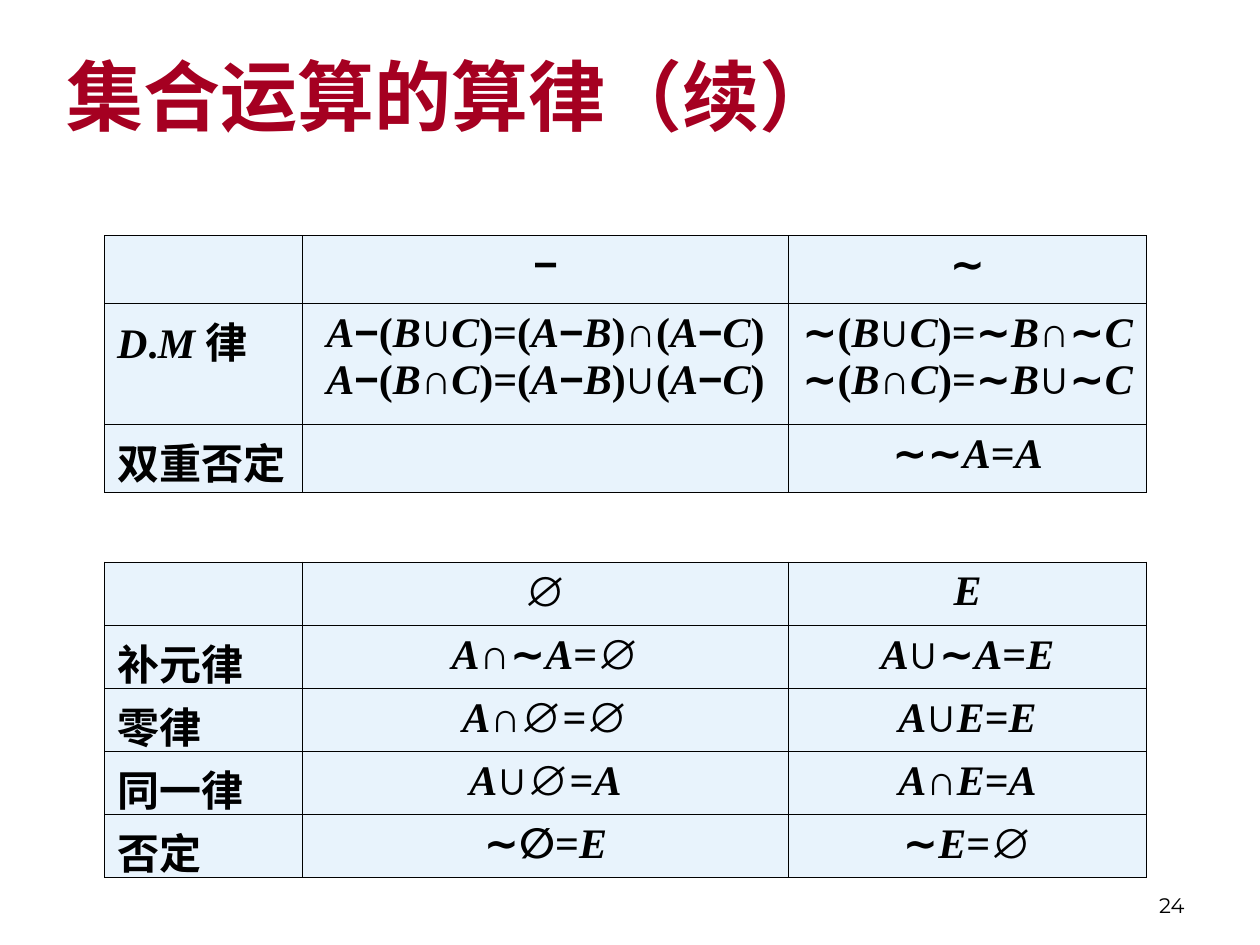
from itertools import groupby

from lxml import etree
from pptx import Presentation
from pptx import util as u
from pptx.dml.color import RGBColor
from pptx.enum import text
from pptx.oxml.ns import qn

# Content: "\n" separates paragraphs inside a cell
TITLE = "集合运算的算律（续）"
PAGE = "24"
COMPLEMENT_LAWS = [
    ("", "−", "∼"),
    ("D.M 律",
     "A−(B∪C)=(A−B)∩(A−C)\nA−(B∩C)=(A−B)∪(A−C)",
     "∼(B∪C)=∼B∩∼C\n∼(B∩C)=∼B∪∼C"),
    ("双重否定", "", "∼∼A=A"),
]
CONSTANT_LAWS = [
    ("", "∅", "E"),
    ("补元律", "A∩∼A=∅", "A∪∼A=E"),
    ("零律", "A∩∅=∅", "A∪E=E"),
    ("同一律", "A∪∅=A", "A∩E=A"),
    ("否定", "∼∅=E", "∼E=∅"),
]
# Laws, top, row heights
LAW_TABLES = [
    (COMPLEMENT_LAWS, 1.87, [0.54, 0.96, 0.54]),
    (CONSTANT_LAWS, 4.46, [0.5] * 5),
]
TABLE_LEFT = 0.83
COLUMNS = [1.57, 3.86, 2.84]

# Formats
BLACK, RED, PALE_BLUE = "000000", "A50021", "E8F3FC"
OPERATORS = "−∼∪∩∅"
LAW_FONT = {"size": u.Pt(24), "bold": True}
KINDS = {
    "operator": {"name": "Arial", "italic": False},
    "variable": {"name": "Times New Roman", "italic": True},
    "plain": {"name": "Times New Roman", "italic": False},
}


def rgb(color):
    return RGBColor.from_string(color)


def add_run(paragraph, words, color, **font_values):
    run = paragraph.add_run()
    run.text = words
    run.font.color.rgb = rgb(color)
    for key, value in font_values.items():
        setattr(run.font, key, value)


def kind_of(sign):
    if sign in OPERATORS:
        return "operator"
    return "variable" if "A" <= sign <= "Z" else "plain"


def add_formula(paragraph, formula):
    for kind, signs in groupby(formula, kind_of):
        add_run(paragraph, "".join(signs), BLACK, **LAW_FONT, **KINDS[kind])


def add_label(slide, box, words, color, anchor, align, **font_values):
    frame = slide.shapes.add_textbox(*map(u.Inches, box)).text_frame
    frame.word_wrap = True
    frame.vertical_anchor = anchor
    frame.paragraphs[0].alignment = align
    add_run(frame.paragraphs[0], words, color, **font_values)


def outline(cell):
    properties = cell._tc.get_or_add_tcPr()
    for side in ("a:lnL", "a:lnR", "a:lnT", "a:lnB"):
        line = etree.SubElement(properties, qn(side), w=str(u.Pt(0.45)))
        fill = etree.SubElement(line, qn("a:solidFill"))
        etree.SubElement(fill, qn("a:srgbClr"), val=BLACK)


def add_laws(slide, laws, top, heights):
    box = (TABLE_LEFT, top, sum(COLUMNS), sum(heights))
    table = slide.shapes.add_table(len(laws), len(COLUMNS), *map(u.Inches, box)).table
    for column, width in zip(table.columns, COLUMNS):
        column.width = u.Inches(width)
    for row, height, formulas in zip(table.rows, heights, laws):
        row.height = u.Inches(height)
        for index, (cell, formula) in enumerate(zip(row.cells, formulas)):
            outline(cell)
            cell.fill.solid()
            cell.fill.fore_color.rgb = rgb(PALE_BLUE)
            frame = cell.text_frame
            for number, line in enumerate(formula.split("\n")):
                paragraph = frame.add_paragraph() if number else frame.paragraphs[0]
                paragraph.alignment = text.PP_ALIGN.CENTER if index else text.PP_ALIGN.LEFT
                add_formula(paragraph, line)


def main():
    deck = Presentation()
    deck.slide_width, deck.slide_height = u.Inches(10), u.Inches(7.5)
    slide = deck.slides.add_slide(deck.slide_layouts[6])

    # Page number and title
    add_label(slide, (7.17, 6.83, 2.33, 0.5), PAGE, BLACK, text.MSO_ANCHOR.BOTTOM,
              text.PP_ALIGN.RIGHT, name="Montserrat", size=u.Pt(12))
    add_label(slide, (0.43, 0, 9, 1.5), TITLE, RED, text.MSO_ANCHOR.MIDDLE,
              text.PP_ALIGN.LEFT, name="Arial", size=u.Pt(44), bold=True)

    # Tables of laws
    for laws, top, heights in LAW_TABLES:
        add_laws(slide, laws, top, heights)

    deck.save("out.pptx")


if __name__ == "__main__":
    main()
